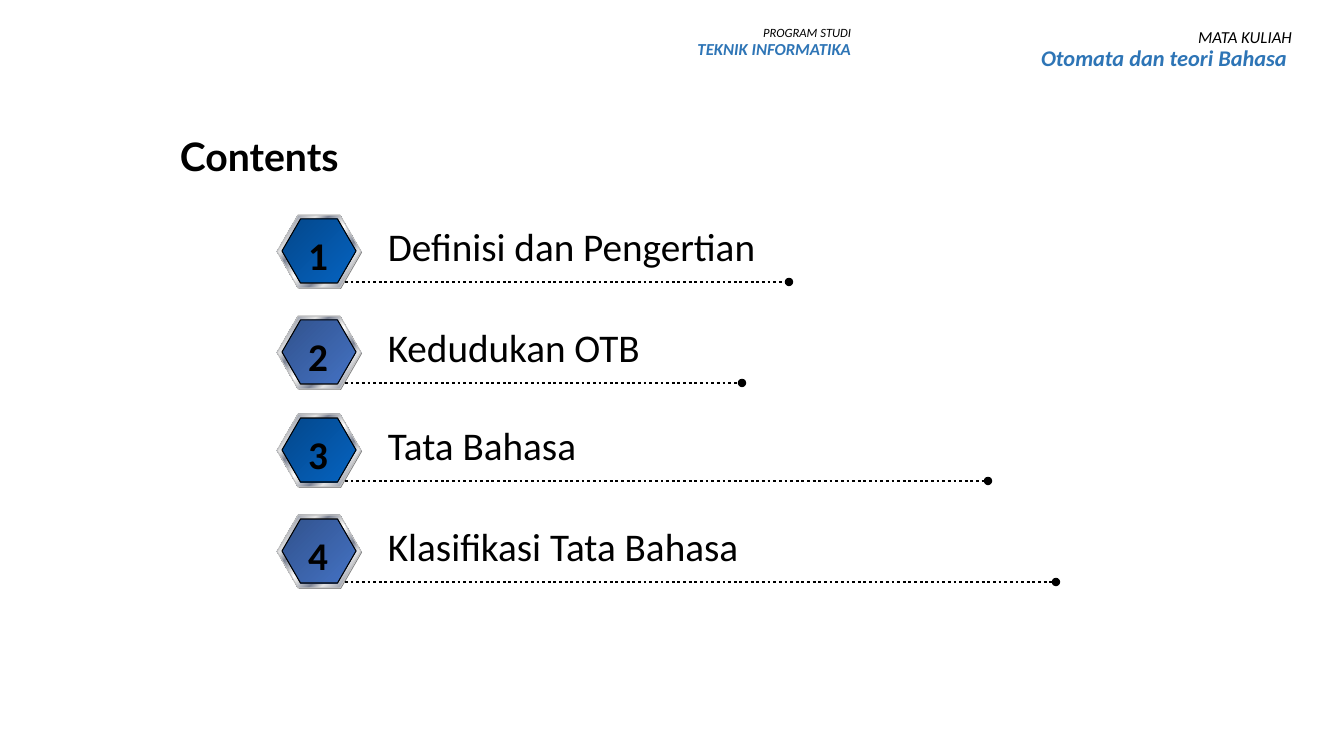
from lxml import etree
from pptx import Presentation
from pptx.dml.color import RGBColor
from pptx.enum.dml import MSO_LINE
from pptx.enum.shapes import MSO_CONNECTOR, MSO_SHAPE
from pptx.enum.text import MSO_ANCHOR, MSO_AUTO_SIZE, PP_ALIGN
from pptx.oxml.ns import qn
from pptx.util import Pt

HEX, LINE = MSO_SHAPE.HEXAGON, MSO_CONNECTOR.STRAIGHT
DOTS = MSO_LINE.ROUND_DOT
TOP, MID = MSO_ANCHOR.TOP, MSO_ANCHOR.MIDDLE
LEFT, CENTER, RIGHT = PP_ALIGN.LEFT, PP_ALIGN.CENTER, PP_ALIGN.RIGHT
FIT = MSO_AUTO_SIZE.SHAPE_TO_FIT_TEXT

BLACK, BLUE = "000000", "2E75B6"
ITEMS = [
    ("Definisi dan Pengertian", 215, 392, 789),
    ("Kedudukan OTB", 316, 275, 742),
    ("Tata Bahasa", 414, 211, 988),
    ("Klasifikasi Tata Bahasa", 515, 374, 1056),
]
HEADS = [
    ((608, 22, 253, 56), ("PROGRAM STUDI", 9), ("TEKNIK INFORMATIKA", 12)),
    ((923, 24, 379, 75), ("MATA KULIAH", 12), ("Otomata dan teori Bahasa ", 16)),
]
METAL = [
    (0, "E6E6E6"), (7, "7D8496"), (26, "E6E6E6"), (34, "7D8496"),
    (46, "E6E6E6"), (50, "FFFFFF"), (54, "E6E6E6"), (66, "7D8496"),
    (74, "E6E6E6"), (93, "7D8496"), (100, "E6E6E6"),
]
FACES = [
    [(0, "04478A"), (100, "0563C1")],
    [(0, "31528C"), (100, "4472C4")],
]


def px(n):
    return round(n * 914400 / 100.8)


def color(code):
    return RGBColor.from_string(code)


def blend(shape, stops):
    shape.fill.gradient()
    shape.fill.gradient_angle = 315
    ramp = shape._element.spPr.find(qn("a:gradFill")).find(qn("a:gsLst"))
    for old in list(ramp):
        ramp.remove(old)
    for pos, code in stops:
        stop = etree.SubElement(ramp, qn("a:gs"), pos=str(pos * 1000))
        etree.SubElement(stop, qn("a:srgbClr"), val=code)


def hexagon(group, box, stops=None, edge=None):
    shape = group.shapes.add_shape(HEX, *map(px, box))
    shape.shadow.inherit = False
    shape.adjustments[0] = 0.289
    shape.adjustments[1] = 1.155
    if stops:
        blend(shape, stops)
        shape.line.color.rgb = color(edge)
        shape.line.width = Pt(0.75)
    else:
        shape.fill.solid()
        shape.fill.fore_color.rgb = color("808080")
        shape.line.fill.background()


def text(slide, box, lines, align=LEFT, space=None, wrap=True, anchor=TOP):
    frame = slide.shapes.add_textbox(*map(px, box)).text_frame
    frame.word_wrap = wrap
    frame.vertical_anchor = anchor
    if not wrap:
        frame.auto_size = FIT
    for i, (words, size, face, code, bold, slant) in enumerate(lines):
        para = frame.add_paragraph() if i else frame.paragraphs[0]
        para.text = words
        para.alignment = align
        para.line_spacing = space
        font = para.font
        font.name, font.size = face, Pt(size)
        font.bold, font.italic = bold, slant
        font.color.rgb = color(code)


def rule(slide, y, end):
    line = slide.shapes.add_connector(LINE, px(345), px(y), px(end), px(y))
    line.line.color.rgb = color(BLACK)
    line.line.width = Pt(2)
    line.line.dash_style = DOTS
    props = line._element.spPr
    etree.SubElement(props.find(qn("a:ln")), qn("a:tailEnd"), type="oval")
    etree.SubElement(props, qn("a:effectLst"))


def item(slide, num, words, top, width, end):
    badge = slide.shapes.add_group_shape()
    hexagon(badge, (278, top + 1, 84, 73))
    hexagon(badge, (277, top, 84, 73), METAL, "C0C0C0")
    hexagon(badge, (282, top + 4, 74, 64), FACES[(num - 1) % 2], BLACK)
    rule(slide, top + 67, end)
    text(slide, (378, top + 2, width, 57),
         [(words, 28, "Calibri", BLACK, False, False)], wrap=False)
    text(slide, (298, top + 11, 40, 57),
         [(str(num), 28, "Calibri", BLACK, True, False)], CENTER, wrap=False)


def main():
    deck = Presentation()
    deck.slide_width, deck.slide_height = px(1344), px(756)
    slide = deck.slides.add_slide(deck.slide_layouts[6])
    text(slide, (170, 114, 1075, 90),
         [("Contents", 28, "Lato", BLACK, True, False)], space=0.9, anchor=MID)
    for num, row in enumerate(ITEMS, 1):
        item(slide, num, *row)
    for box, (label, small), (name, large) in HEADS:
        text(slide, box,
             [(label, small, "Calibri", BLACK, False, True),
              (name, large, "Calibri", BLUE, True, True)], RIGHT, 0.9)
    deck.save("out.pptx")


if __name__ == "__main__":
    main()
